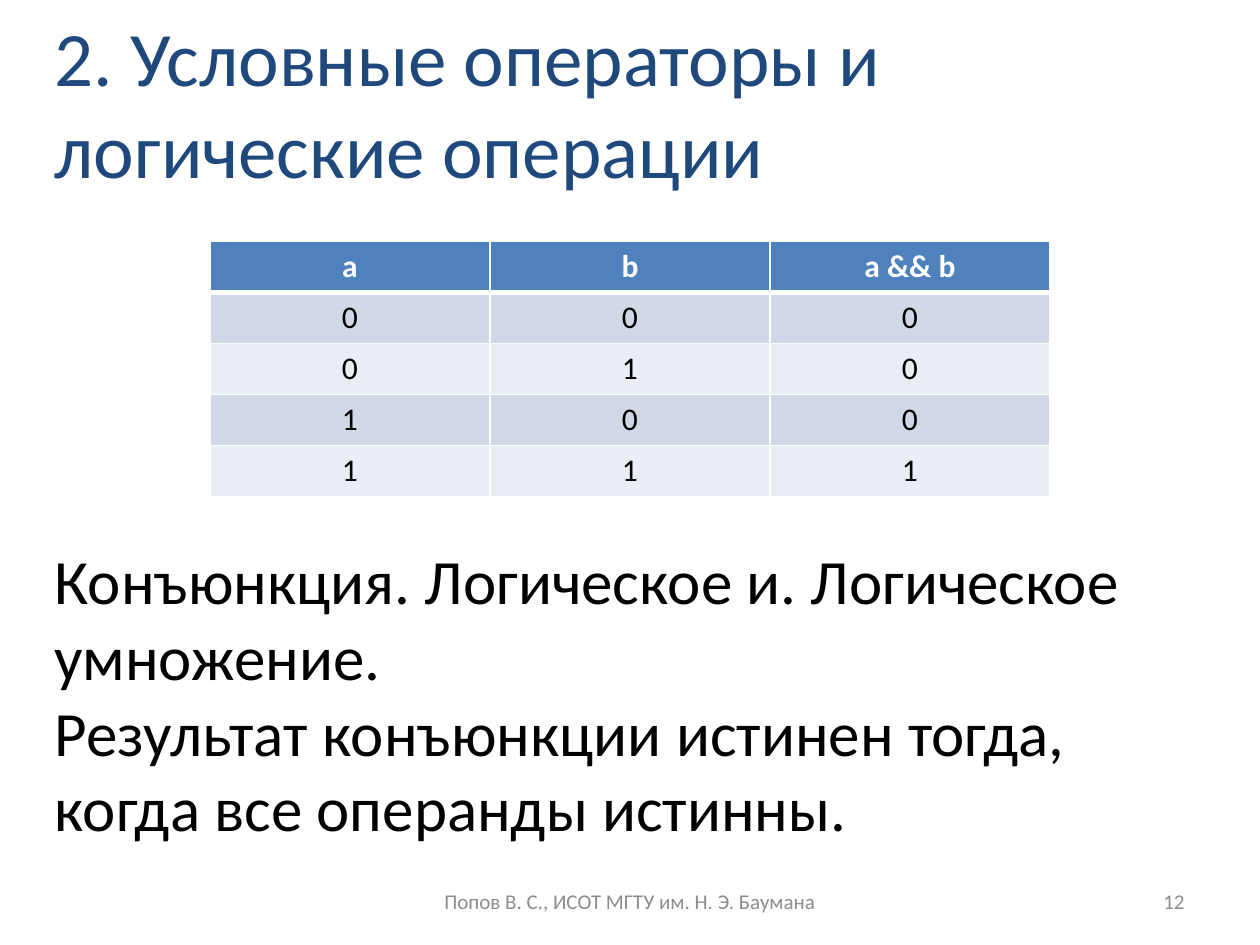
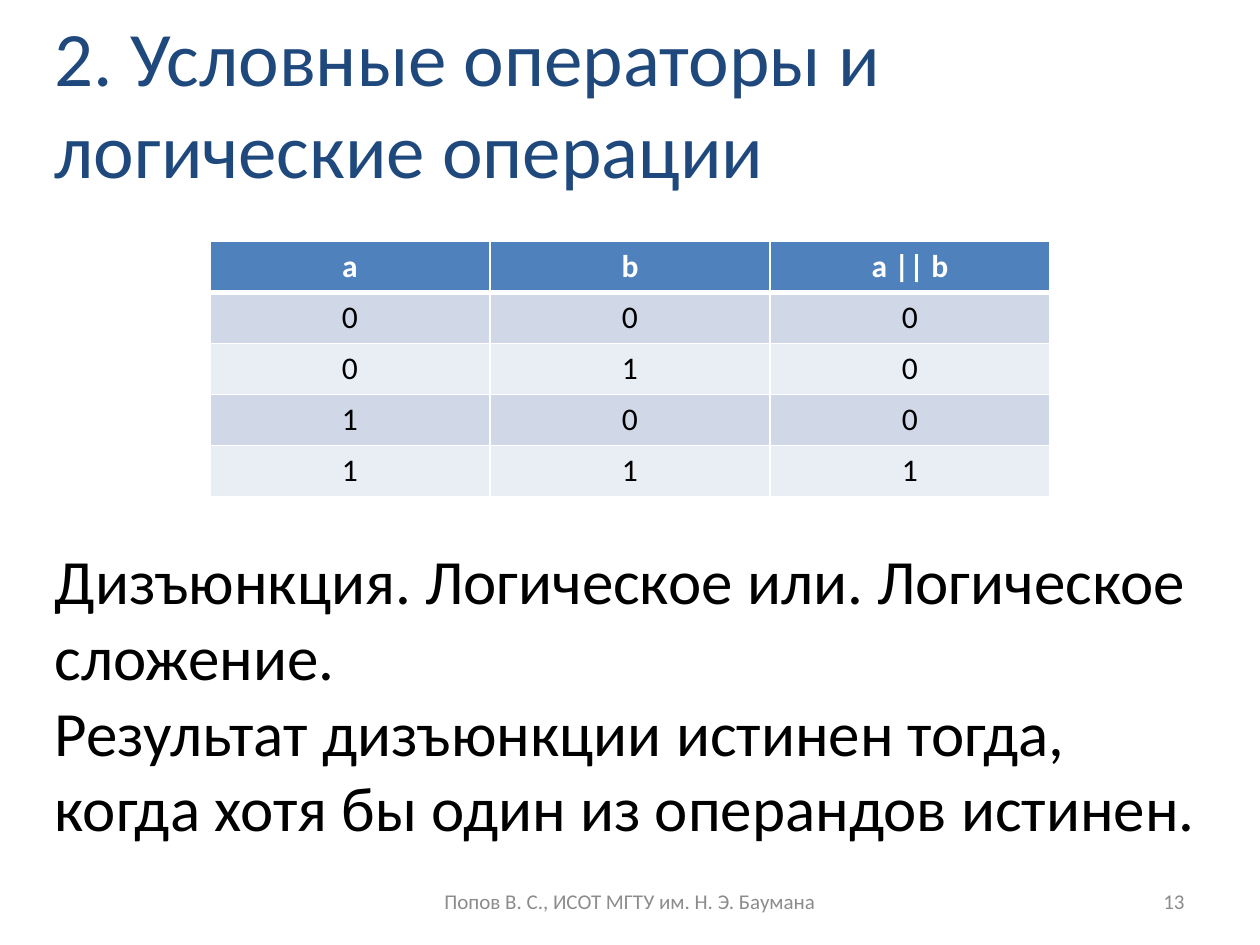
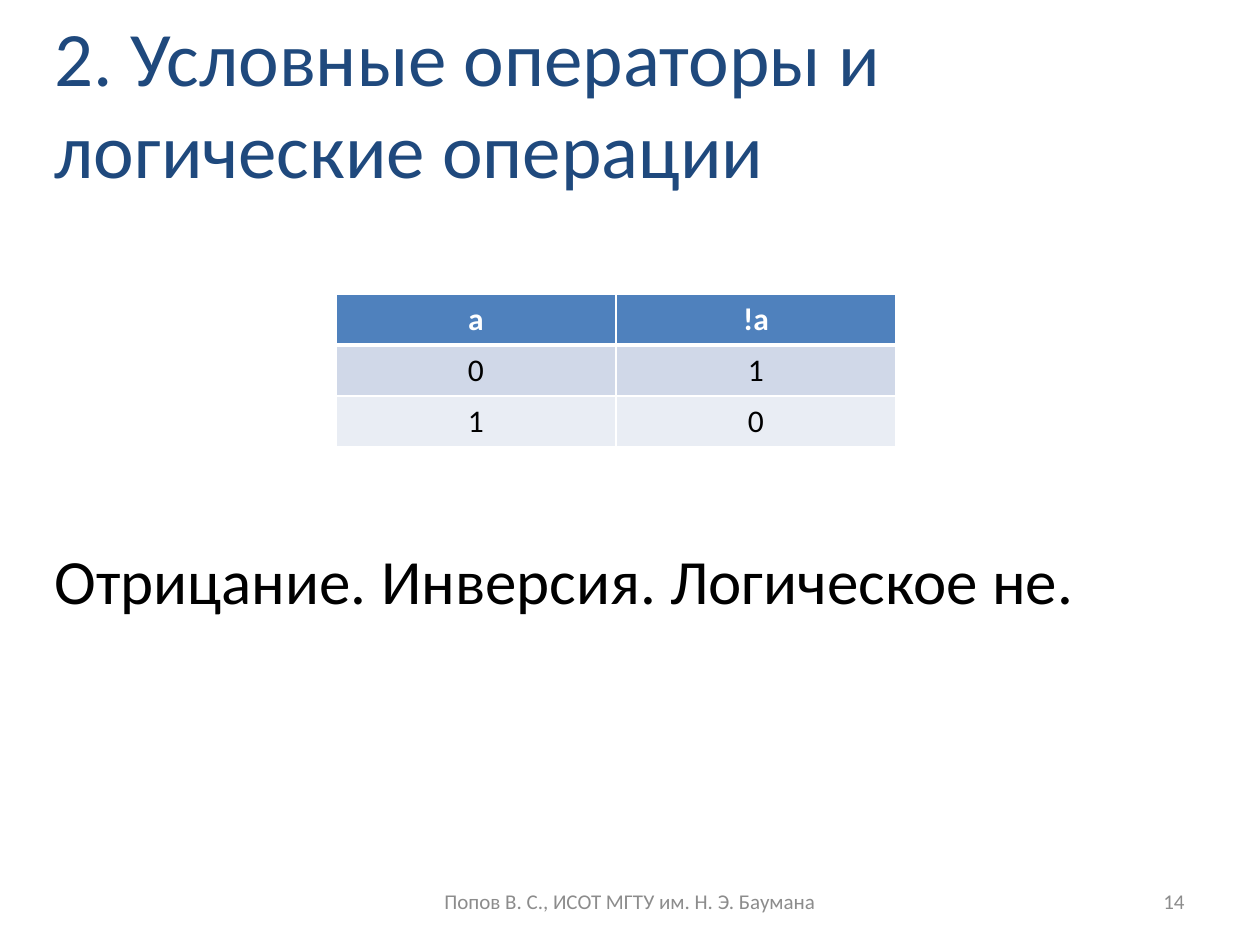
"""Build three slides on logical operations, each with a truth table and a definition."""
from dataclasses import dataclass

from lxml import etree
from pptx import Presentation
from pptx import util as u
from pptx.dml.color import RGBColor
from pptx.enum import text as t
from pptx.oxml import ns


@dataclass(frozen=True)
class Theme:
    font: str = "Calibri"
    heading: str = "1F497D"
    ink: str = "000000"
    paper: str = "FFFFFF"
    muted: str = "8C8C8C"
    header: str = "4F81BD"
    bands: tuple = ("D0D8E8", "E9EDF4")
    title_size: int = 44
    body_size: int = 36
    table_size: int = 18
    footer_size: int = 12
    rule: int = 1
    header_rule: int = 3


THEME = Theme()
WIDTH, HEIGHT = u.Inches(10), u.Inches(7.5)
UNIT = WIDTH / 60
MARGIN = 2
TABLE_COLUMN, TABLE_ROW = 40 / 3, 2.43
FOOTER_TOP, FOOTER_HEIGHT = 41.7, 2.4
TITLE = "2. Условные операторы и логические операции"
AUTHOR = "Попов В. С., ИСОТ МГТУ им. Н. Э. Баумана"
FIRST_NUMBER = 12
BINARY_ROWS = ["000", "010", "100", "111"]

LESSONS = [
    dict(
        heads=["a", "b", "a && b"], rows=BINARY_ROWS, corner=(10, 11.5), body_height=18.8,
        definition=["Конъюнкция. Логическое и. Логическое умножение.",
                    "Результат конъюнкции истинен тогда, когда все операнды истинны."],
    ),
    dict(
        heads=["a", "b", "a || b"], rows=BINARY_ROWS, corner=(10, 11.5), body_height=18.8,
        definition=["Дизъюнкция. Логическое или. Логическое сложение.",
                    "Результат дизъюнкции истинен тогда, когда хотя бы один из операндов истинен."],
    ),
    dict(
        heads=["a", "!a"], rows=["01", "10"], corner=(16, 14), body_height=7.86,
        definition=["Отрицание. Инверсия. Логическое не."],
    ),
]


def grid(*cells):
    """Turn grid units into slide lengths."""
    return [u.Emu(round(cell * UNIT)) for cell in cells]


def place(holder, *cells):
    """Move a placeholder to a grid area."""
    holder.left, holder.top, holder.width, holder.height = grid(*cells)


def write(frame, lines, size, color, align=t.PP_ALIGN.LEFT, anchor=t.MSO_ANCHOR.TOP, bold=False):
    """Fill a text frame with one formatted paragraph per line."""
    frame.word_wrap = True
    frame.vertical_anchor = anchor
    for index, line in enumerate(lines):
        paragraph = frame.add_paragraph() if index else frame.paragraphs[0]
        paragraph.alignment = align
        paragraph.space_before = u.Pt(0)
        run = paragraph.add_run()
        run.text = line
        run.font.name = THEME.font
        run.font.size = u.Pt(size)
        run.font.bold = bold
        run.font.color.rgb = RGBColor.from_string(color)


def add_heading(slide):
    """Set the shared slide title."""
    heading = slide.shapes.title
    place(heading, MARGIN, 0, 49, 9.66)
    write(heading.text_frame, [TITLE], THEME.title_size, THEME.heading, anchor=t.MSO_ANCHOR.MIDDLE)
    heading.text_frame.auto_size = t.MSO_AUTO_SIZE.NONE


def add_definition(slide, lines, height):
    """Put the definition below the truth table."""
    definition = slide.placeholders[1]
    place(definition, MARGIN, 25.5, 56, height)
    write(definition.text_frame, lines, THEME.body_size, THEME.ink)
    definition.text_frame.auto_size = t.MSO_AUTO_SIZE.NONE


def add_footer_text(slide, label, left, width, align):
    """Add one label to the footer line."""
    footer = slide.shapes.add_textbox(*grid(left, FOOTER_TOP, width, FOOTER_HEIGHT))
    write(footer.text_frame, [label], THEME.footer_size, THEME.muted, align, t.MSO_ANCHOR.MIDDLE)


def add_borders(cell, top, bottom):
    """Draw the four borders of a table cell with given top and bottom weights."""
    properties = cell._tc.get_or_add_tcPr()
    for side, weight in zip("LRTB", (THEME.rule, THEME.rule, top, bottom)):
        border = etree.SubElement(properties, ns.qn(f"a:ln{side}"), w=str(u.Pt(weight)))
        fill = etree.SubElement(border, ns.qn("a:solidFill"))
        etree.SubElement(fill, ns.qn("a:srgbClr"), val=THEME.paper)


def add_truth_table(slide, heads, rows, corner):
    """Add a truth table with a header row and banded values."""
    lines = [heads, *rows]
    size = TABLE_COLUMN * len(heads), TABLE_ROW * len(lines)
    table = slide.shapes.add_table(len(lines), len(heads), *grid(*corner, *size)).table
    for row, values in enumerate(lines):
        is_header = row == 0
        fill = THEME.header if is_header else THEME.bands[(row - 1) % 2]
        ink = THEME.paper if is_header else THEME.ink
        top = THEME.header_rule if row == 1 else THEME.rule
        bottom = THEME.header_rule if is_header else THEME.rule
        for column, value in enumerate(values):
            cell = table.cell(row, column)
            add_borders(cell, top, bottom)
            cell.fill.solid()
            cell.fill.fore_color.rgb = RGBColor.from_string(fill)
            write(cell.text_frame, [value], THEME.table_size, ink, t.PP_ALIGN.CENTER, bold=is_header)


def main():
    """Build and save the presentation."""
    deck = Presentation()
    deck.slide_width, deck.slide_height = WIDTH, HEIGHT
    for number, lesson in enumerate(LESSONS, FIRST_NUMBER):
        slide = deck.slides.add_slide(deck.slide_layouts[0])
        add_heading(slide)
        add_footer_text(slide, str(number), 43, 14, t.PP_ALIGN.RIGHT)
        add_footer_text(slide, AUTHOR, 20.5, 19, t.PP_ALIGN.CENTER)
        add_truth_table(slide, lesson["heads"], lesson["rows"], lesson["corner"])
        add_definition(slide, lesson["definition"], lesson["body_height"])
    deck.save("out.pptx")


if __name__ == "__main__":
    main()
